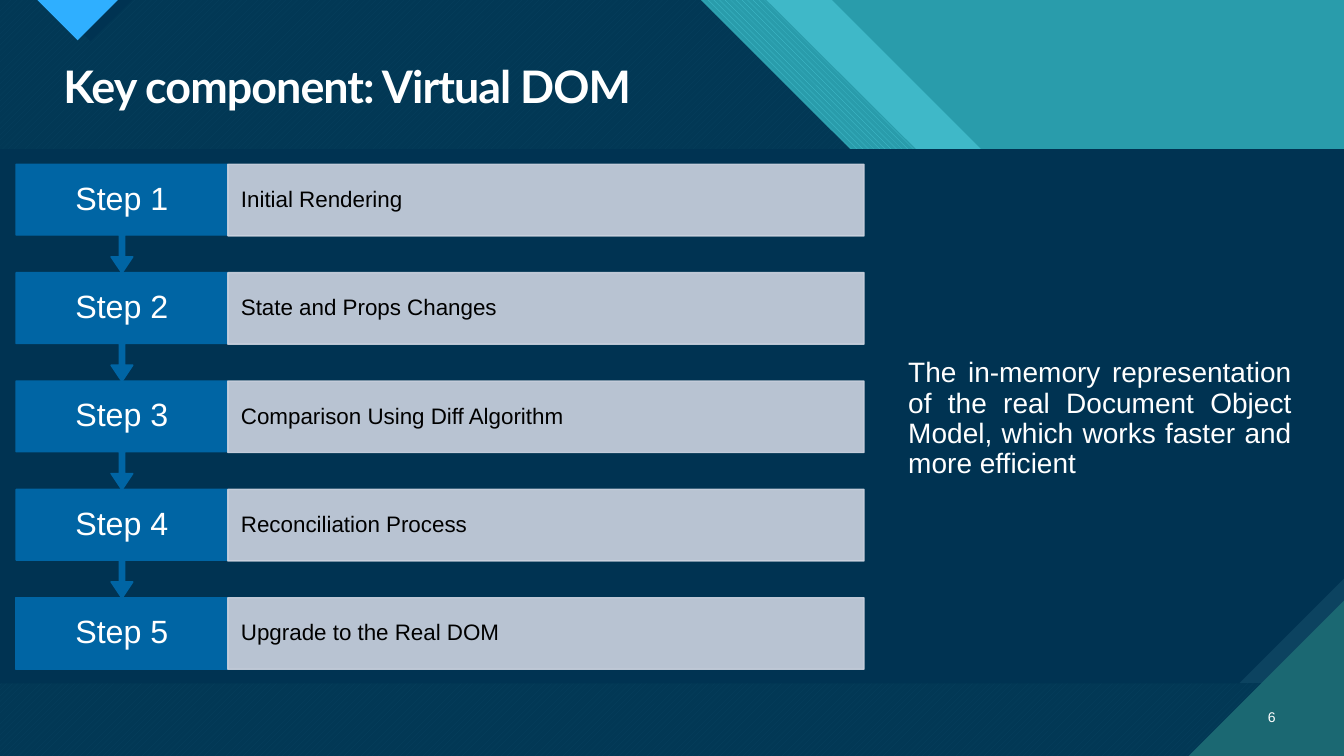
from dataclasses import dataclass

from lxml import etree
from pptx import Presentation
from pptx import util as u
from pptx.dml.color import RGBColor
from pptx.enum import dml, shapes, text


@dataclass(frozen=True)
class Theme:
    teal: str = "299CAB"
    aqua: str = "47C3D3"
    deep_teal: str = "1B6872"
    navy: str = "003352"
    edge: str = "0C4360"
    sky: str = "2FAFFF"
    step: str = "0065A4"
    card: str = "CCD3E0"
    white: str = "FFFFFF"
    black: str = "000000"
    heading_font: str = "Lato"
    body_font: str = "Arial"
    title_size: int = 32
    step_size: int = 23
    body_size: int = 20
    card_size: int = 16
    number_size: int = 10


theme = Theme()
A = "{http://schemas.openxmlformats.org/drawingml/2006/main}"


def paint(sp, color, alpha=100, outline=False):
    """Give a shape a flat fill, an optional matching outline and no shadow."""
    sp.shadow.inherit = False
    sp.fill.solid()
    sp.fill.fore_color.rgb = RGBColor.from_string(color)
    if outline:
        sp.line.width = u.Pt(1)
        sp.line.color.rgb = RGBColor.from_string(color)
    else:
        sp.line.fill.background()
    if alpha < 100:
        for clr in sp._element.spPr.iter(A + "srgbClr"):
            etree.SubElement(clr, A + "alpha", val=str(alpha * 1000))


def write(sp, words, size, color, align, anchor, inset=(0.1, 0.05),
          font=theme.body_font, spacing=0.9):
    """Put one formatted paragraph into a shape and return it."""
    tf = sp.text_frame
    tf.word_wrap = True
    tf.vertical_anchor = anchor
    tf.margin_left = tf.margin_right = u.Inches(inset[0])
    tf.margin_top = tf.margin_bottom = u.Inches(inset[1])
    p = tf.paragraphs[0]
    p.text = words
    p.alignment = align
    p.line_spacing = spacing
    r = p.runs[0]
    r.font.name = font
    r.font.size = u.Pt(size)
    r.font.color.rgb = RGBColor.from_string(color)
    return p


prs = Presentation()
prs.slide_width = u.Inches(13.33)
prs.slide_height = u.Inches(7.5)
s = prs.slides.add_slide(prs.slide_layouts[6])
s.background.fill.solid()
s.background.fill.fore_color.rgb = RGBColor.from_string(theme.teal)

# Background: diagonal bands, centre panel and corner triangles
light_band = [(0, 0), (8.25, 0), (11.22, 2.97), (12.34, 2.97),
              (13.33, 3.96), (13.33, 7.5), (0, 7.5)]
striped_band = [(0.66, 0), (7.6, 0), (10.58, 2.97), (11.84, 2.97),
                (13.33, 4.47), (13.33, 7.5), (0.66, 7.5)]
dark_band = [(0, 0), (6.95, 0), (9.92, 2.97), (11.18, 2.97),
             (13.33, 5.12), (13.33, 7.5), (0, 7.5)]
panel = [(0, 1.48), (13.33, 1.48), (13.33, 6.78), (0, 6.78)]
snipped_panel = [(0, 1.48), (13.33, 1.48), (13.33, 5.74), (12.29, 6.78), (0, 6.78)]
down = dml.MSO_PATTERN.WIDE_DOWNWARD_DIAGONAL
up = dml.MSO_PATTERN.WIDE_UPWARD_DIAGONAL

# Each layer: outline, colour, opacity, pattern with its back colour
layers = [
    (light_band, theme.aqua, 74, None),
    (striped_band, theme.aqua, 100, (down, theme.teal)),
    (dark_band, theme.aqua, 100, (up, theme.deep_teal)),
    (dark_band, theme.navy, 90, None),
    ([(0.48, 0), (1.31, 0), (0.9, 0.41)], theme.navy, 100, None),
    ([(0.37, 0), (1.17, 0), (0.77, 0.4)], theme.sky, 100, None),
    (panel, theme.edge, 100, None),
    (snipped_panel, theme.navy, 100, None),
    ([(11.79, 7.5), (13.33, 7.5), (13.33, 5.96)], theme.deep_teal, 100, None),
]
for outline, color, alpha, pattern in layers:
    points = [(u.Inches(x), u.Inches(y)) for x, y in outline]
    builder = s.shapes.build_freeform(*points[0])
    builder.add_line_segments(points[1:], close=True)
    sp = builder.convert_to_shape()
    paint(sp, color, alpha)
    if pattern:
        sp.fill.patterned()
        sp.fill.pattern = pattern[0]
        sp.fill.fore_color.rgb = RGBColor.from_string(color)
        sp.fill.back_color.rgb = RGBColor.from_string(pattern[1])

# Title
sp = s.shapes.add_textbox(u.Inches(0.53), u.Inches(0.59), u.Inches(12.22), u.Inches(0.59))
p = write(sp, "Key component: Virtual DOM", theme.title_size, theme.white,
          text.PP_ALIGN.LEFT, text.MSO_ANCHOR.TOP, font=theme.heading_font)
p.runs[0].font.bold = True
p.runs[0].font._element.set("spc", "-70")

# Slide number
sp = s.shapes.add_textbox(u.Inches(12.31), u.Inches(6.91), u.Inches(0.44), u.Inches(0.4))
p = write(sp, "6", theme.number_size, theme.white,
          text.PP_ALIGN.RIGHT, text.MSO_ANCHOR.MIDDLE, spacing=1.0)
p.space_after = u.Pt(6)

# Description
sp = s.shapes.add_textbox(u.Inches(8.91), u.Inches(3.51), u.Inches(4), u.Inches(1.5))
p = write(sp, "The in-memory representation of the real Document Object Model, "
          "which works faster and more efficient", theme.body_size, theme.white,
          text.PP_ALIGN.JUSTIFY, text.MSO_ANCHOR.TOP)
p.space_before = u.Pt(10)

# Steps: a labelled callout pointing to the next one, with a card beside it
steps = ["Initial Rendering", "State and Props Changes",
         "Comparison Using Diff Algorithm", "Reconciliation Process",
         "Upgrade to the Real DOM"]
left, top, pitch = 0.16, 1.63, 1.075
label_width, card_width, row_height, callout_height = 2.1, 6.31, 0.71, 1.08
for i, step in reversed(list(enumerate(steps))):
    y = top + i * pitch
    last = i == len(steps) - 1
    kind = shapes.MSO_SHAPE.RECTANGLE if last else shapes.MSO_SHAPE.DOWN_ARROW_CALLOUT
    sp = s.shapes.add_shape(kind, u.Inches(left), u.Inches(y), u.Inches(label_width),
                            u.Inches(row_height if last else callout_height))
    if not last:
        for k, value in enumerate((0.05, 0.1, 0.15, 0.65)):
            sp.adjustments[k] = value
    paint(sp, theme.step, outline=True)
    write(sp, f"Step {i + 1}", theme.step_size, theme.white,
          text.PP_ALIGN.CENTER, text.MSO_ANCHOR.MIDDLE, (0.15, 0.18))

    sp = s.shapes.add_shape(shapes.MSO_SHAPE.RECTANGLE, u.Inches(left + label_width),
                            u.Inches(y), u.Inches(card_width), u.Inches(row_height))
    paint(sp, theme.card, 90, outline=True)
    write(sp, step, theme.card_size, theme.black,
          text.PP_ALIGN.LEFT, text.MSO_ANCHOR.MIDDLE, (0.13, 0.22))

prs.save("out.pptx")
